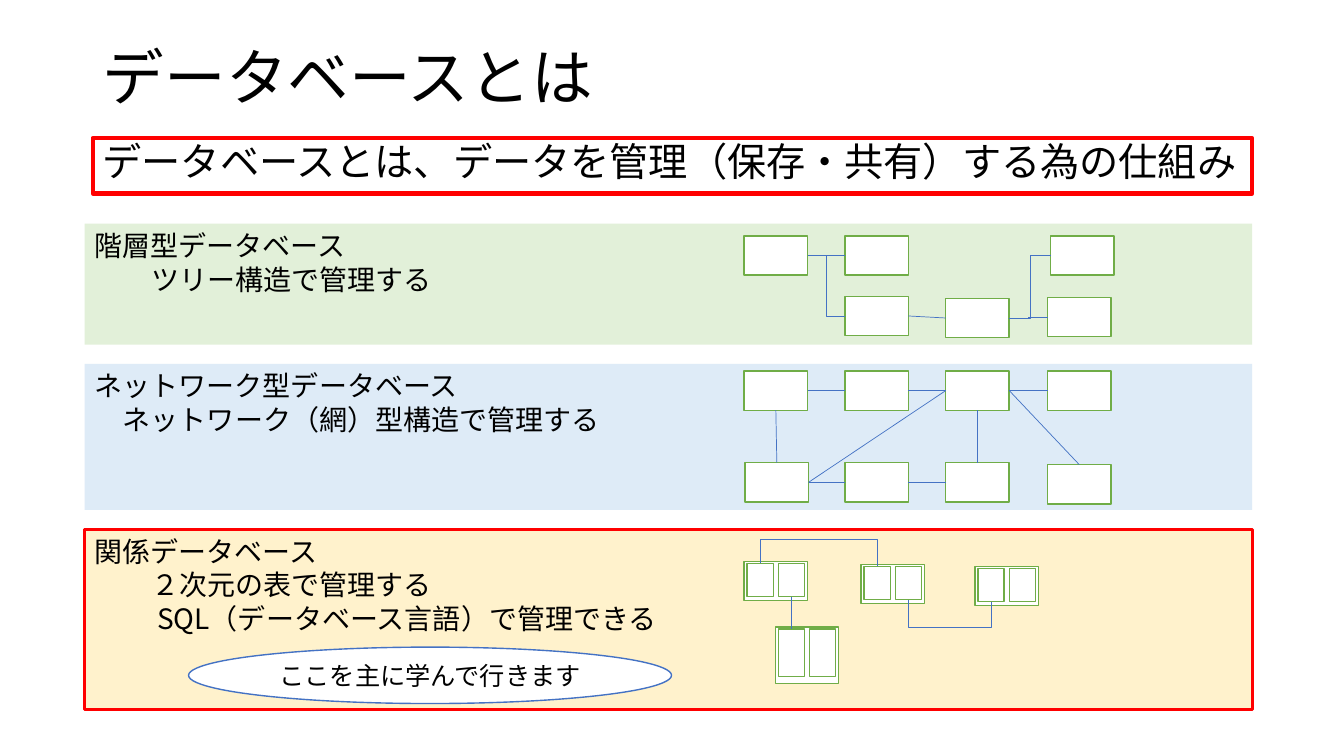
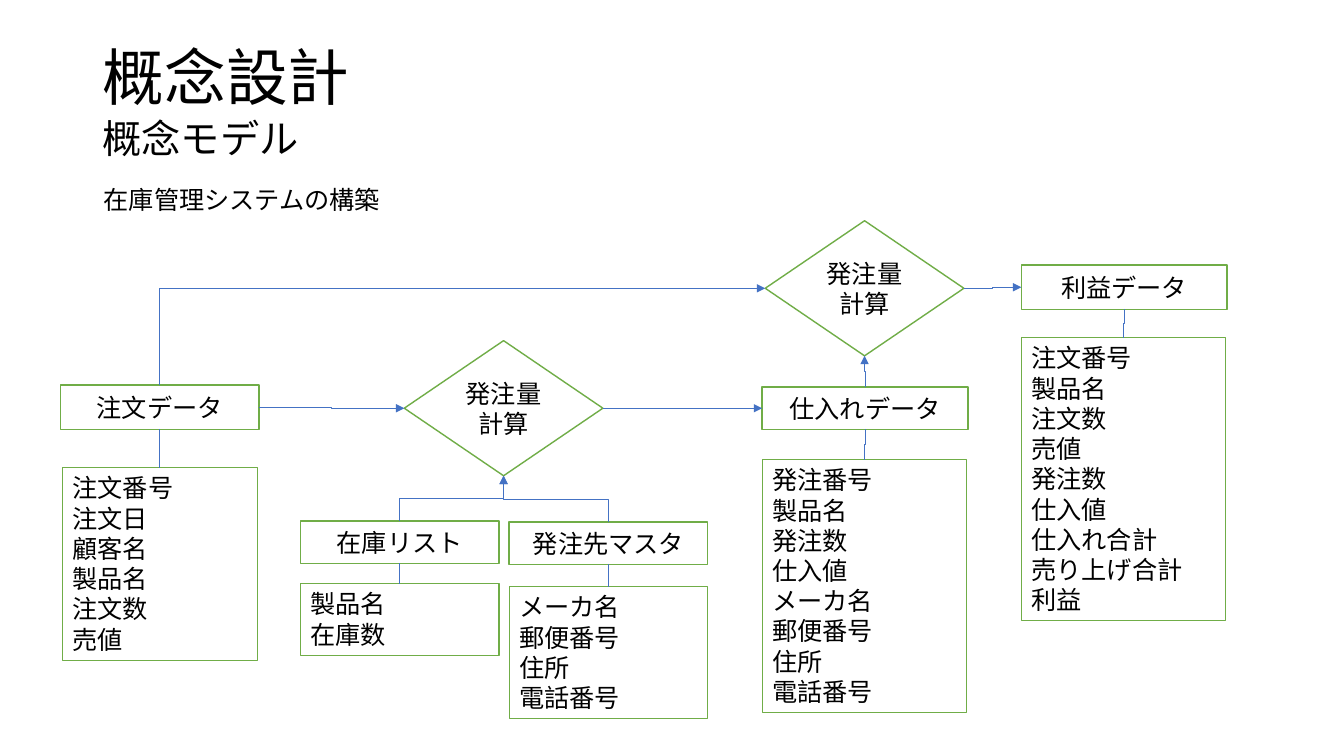
import pptx
import pptx.util
import pptx.dml.color
import pptx.enum.shapes
import pptx.enum.text
import pptx.oxml.ns
import pptx.oxml.xmlchemy

PX = 9144
FONT = "Noto Sans CJK JP"
BLACK, WHITE, RED = "000000", "FFFFFF", "FF0000"
GREEN, BLUE = "70AD47", "4472C4"
KIND = pptx.enum.shapes.MSO_SHAPE
WIRE = pptx.enum.shapes.MSO_CONNECTOR
ALIGN = pptx.enum.text.PP_ALIGN
MID = pptx.enum.text.MSO_ANCHOR.MIDDLE
TOP = pptx.enum.text.MSO_ANCHOR.TOP
UP, LEFT, DOWN, RIGHT = range(4)


def color(code):
    return pptx.dml.color.RGBColor.from_string(code)


def dress(item, values):
    for key, value in values.items():
        setattr(item, key, value)


def mark(node, values):
    for key, value in values.items():
        node.set(key, str(value))


def add(parent, tag, **values):
    node = pptx.oxml.xmlchemy.OxmlElement(tag)
    mark(node, values)
    parent.append(node)


def place(shape, box):
    sides = ("left", "top", "width", "height")
    dress(shape, {side: size * PX for side, size in zip(sides, box)})


def write(shape, lines, size, align=ALIGN.LEFT, anchor=TOP, indent=(), para=None):
    frame = shape.text_frame
    dress(frame, {"auto_size": pptx.enum.text.MSO_AUTO_SIZE.NONE,
                  "word_wrap": True, "vertical_anchor": anchor})
    for n, line in enumerate(lines):
        part = frame.add_paragraph() if n else frame.paragraphs[0]
        dress(part, {"alignment": align, **(para or {})})
        if n < len(indent):
            mark(part._p.get_or_add_pPr(), {"marL": indent[n] * PX})
        run = part.add_run()
        run.text = line
        run.font.color.rgb = color(BLACK)
        dress(run.font, {"size": pptx.util.Pt(size), "name": FONT})
        add(run._r.get_or_add_rPr(), "a:ea", typeface=FONT)


def stroke(item, code, width):
    item.line.color.rgb = color(code)
    item.line.width = pptx.util.Pt(width)


def draw(slide, box, fill=WHITE, line=GREEN, width=1, kind=KIND.RECTANGLE):
    shape = slide.shapes.add_shape(kind, *(size * PX for size in box))
    shape.shadow.inherit = False
    shape.fill.solid()
    shape.fill.fore_color.rgb = color(fill)
    if line:
        stroke(shape, line, width)
    else:
        shape.line.fill.background()
    return shape


def label(slide, box, text, kind=KIND.RECTANGLE, line=GREEN):
    shape = draw(slide, box, line=line, kind=kind)
    write(shape, [text], 18, ALIGN.CENTER, MID)
    return shape


def note(slide, box, text, size, **para):
    shape = slide.shapes.add_textbox(*(length * PX for length in box))
    write(shape, [text], size, para=para)
    return shape


def site(shape, side):
    x, y = shape.left + shape.width // 2, shape.top + shape.height // 2
    return {UP: (x, shape.top), LEFT: (shape.left, y),
            DOWN: (x, shape.top + shape.height),
            RIGHT: (shape.left + shape.width, y)}[side]


def turn(wire, start, end, into, mid):
    (x1, y1), (x2, y2) = start, end
    wide, high = abs(y2 - y1), abs(x2 - x1)
    dress(wire, {"left": (x1 + x2 - wide) // 2, "top": (y1 + y2 - high) // 2,
                 "width": wide, "height": high})
    props = wire.element.spPr
    down = y2 > y1
    mark(props.find(pptx.oxml.ns.qn("a:xfrm")),
         {"rot": 5400000 if down else 16200000,
          "flipH": 0, "flipV": int(down == (x2 > x1))})
    shape = props.find(pptx.oxml.ns.qn("a:prstGeom"))
    if into in (LEFT, RIGHT):
        mark(shape, {"prst": "bentConnector2"})
    if mid is not None:
        ratio = round((mid * PX - y1) / (y2 - y1) * 100000)
        add(shape.find(pptx.oxml.ns.qn("a:avLst")), "a:gd",
            name="adj1", fmla=f"val {ratio}")


def link(slide, first, out, last, into, bent=True, mid=None, arrow=False):
    start, end = site(first, out), site(last, into)
    bent = bent and start[0] != end[0] and start[1] != end[1]
    wire = slide.shapes.add_connector(WIRE.ELBOW if bent else WIRE.STRAIGHT, *start, *end)
    wire.begin_connect(first, out)
    wire.end_connect(last, into)
    if bent and out in (UP, DOWN):
        turn(wire, start, end, into, mid)
    stroke(wire, BLUE, 0.5)
    if arrow:
        add(wire.get_or_add_ln(), "a:tailEnd", type="triangle")
    add(wire.element.spPr, "a:effectLst")


def begin(deck, text):
    slide = deck.slides.add_slide(deck.slide_layouts[5])
    title = slide.shapes.title
    place(title, (92, 40, 1150, 79))
    write(title, [text], 44, anchor=MID, para={"line_spacing": 0.9})
    return slide


def band(slide, box, fill, lines, indent, line=None):
    write(draw(slide, box, fill, line, 2), lines, 20, indent=indent)


def cells(slide, x, y, spots):
    return [draw(slide, (x + dx, y + dy, 63, 39)) for dx, dy in spots]


def tree(slide, x, y):
    band(slide, (x, y, 1158, 120), "E2F0D9",
         ["階層型データベース", "ツリー構造で管理する"], (0, 56))
    root, leaf, node, hub, low, high = cells(
        slide, x, y, [(654, 12), (754, 12), (754, 72), (854, 74), (955, 73), (958, 12)])
    for a, b, bent in ((root, leaf, False), (root, node, True), (node, hub, False),
                       (hub, high, True), (hub, low, True)):
        link(slide, a, RIGHT, b, LEFT, bent)


def net(slide, x, y):
    band(slide, (x, y, 1158, 145), "DEEBF7",
         ["ネットワーク型データベース", "ネットワーク（網）型構造で管理する"], (0, 28))
    top = cells(slide, x, y, [(dx, 7) for dx in (654, 754, 854, 955)])
    low = cells(slide, x, y, [(655, 98), (754, 98), (854, 98), (955, 100)])
    for row in (top, low[:3]):
        for a, b in zip(row, row[1:]):
            link(slide, a, RIGHT, b, LEFT, False)
    for a, out, b, into in ((top[0], DOWN, low[0], UP), (top[2], DOWN, low[2], UP),
                            (low[0], RIGHT, top[2], LEFT), (top[2], RIGHT, low[3], UP)):
        link(slide, a, out, b, into, False)


def table(slide, x, y, high, inner):
    draw(slide, (x, y, 63, high))
    return [draw(slide, (x + dx, y + 2, 26, inner)) for dx in (3, 34)]


def tables(slide, x, y):
    band(slide, (x, y, 1158, 179), "FFF2CC",
         ["関係データベース", "２次元の表で管理する", "SQL（データベース言語）で管理できる"],
         (0, 56, 62), RED)
    one, two, three, four = [
        table(slide, x + dx, y + dy, high, inner) for dx, dy, high, inner in
        ((654, 32, 39, 33), (685, 97, 56, 47), (770, 35, 39, 33), (883, 37, 39, 33))]
    link(slide, one[0], UP, three[0], UP, mid=y + 10)
    link(slide, one[1], DOWN, two[0], UP, False)
    link(slide, four[0], DOWN, three[1], DOWN, mid=y + 97)
    label(slide, (x + 103, y + 117, 479, 56), "ここを主に学んで行きます", KIND.OVAL, BLUE)


def types(deck):
    slide = begin(deck, "データベースとは")
    lead = note(slide, (92, 137, 1150, 55), "データベースとは、データを管理（保存・共有）する為の仕組み",
                28, line_spacing=0.9, space_before=pptx.util.Pt(10))
    stroke(lead, RED, 3)
    tree(slide, 84, 222)
    net(slide, 84, 361)
    tables(slide, 84, 525)


def entity(slide, box, name, gap, wide, rows):
    x, y, width, high = box
    head = label(slide, box, name)
    body = draw(slide, (x + (width - wide) // 2, y + high + gap, wide, 30 * len(rows) + 11),
                width=0.75)
    write(body, rows, 18)
    link(slide, head, DOWN, body, UP)
    return head


def model(deck):
    slide = begin(deck, "概念設計")
    note(slide, (92, 118, 1150, 50), "概念モデル", 28,
         line_spacing=0.8, space_before=pptx.util.Pt(10))
    note(slide, (93, 178, 1091, 40), "在庫管理システムの構築", 18)
    order, stock, maker, buy, gain = [entity(slide, *data) for data in (
        ((60, 382, 197, 44), "注文データ", 38, 193,
         ["注文番号", "注文日", "顧客名", "製品名", "注文数", "売値"]),
        ((298, 517, 197, 42), "在庫リスト", 20, 197, ["製品名", "在庫数"]),
        ((505, 518, 197, 42), "発注先マスタ", 22, 197,
         ["メーカ名", "郵便番号", "住所", "電話番号"]),
        ((756, 384, 204, 42), "仕入れデータ", 30, 203,
         ["発注番号", "製品名", "発注数", "仕入値", "メーカ名", "郵便番号", "住所", "電話番号"]),
        ((1013, 263, 204, 44), "利益データ", 28, 203,
         ["注文番号", "製品名", "注文数", "売値", "発注数", "仕入値",
          "仕入れ合計", "売り上げ合計", "利益"]))]
    need, total = [label(slide, (x, y, 197, 134), "発注量計算", KIND.DIAMOND)
                   for x, y in ((401, 338), (759, 219))]
    for a, out, b, into in (
            (order, RIGHT, need, LEFT), (stock, UP, need, DOWN), (maker, UP, need, DOWN),
            (need, RIGHT, buy, LEFT), (order, UP, total, LEFT), (buy, UP, total, DOWN),
            (total, RIGHT, gain, LEFT)):
        link(slide, a, out, b, into, arrow=True)


def main():
    deck = pptx.Presentation()
    dress(deck, {"slide_width": 1333 * PX, "slide_height": 750 * PX})
    types(deck)
    model(deck)
    deck.save("out.pptx")


if __name__ == "__main__":
    main()
